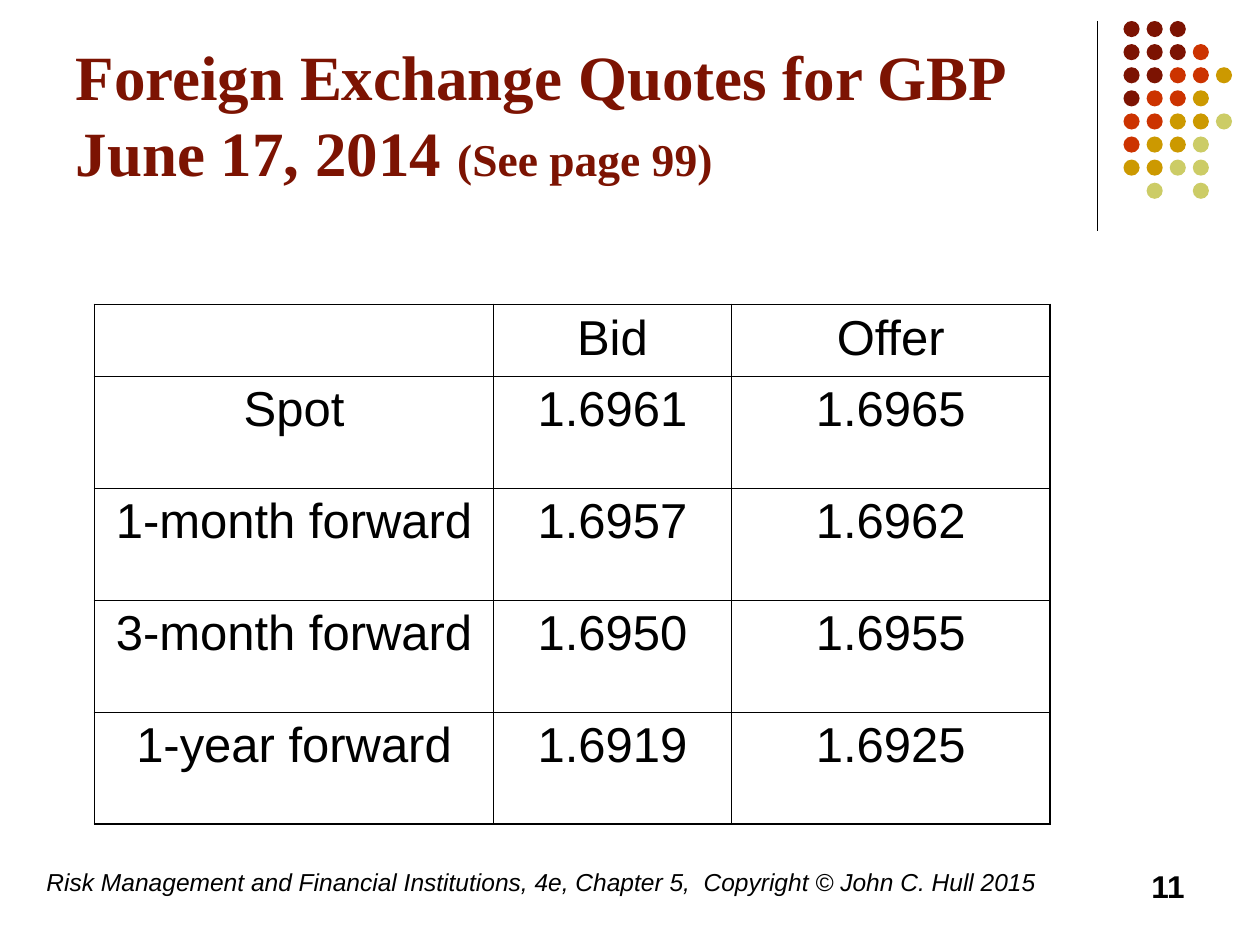
from dataclasses import dataclass

from lxml.etree import SubElement
from pptx import Presentation
from pptx.dml.color import RGBColor
from pptx.enum.shapes import MSO_CONNECTOR as Connector
from pptx.enum.shapes import MSO_SHAPE as Shape
from pptx.enum.text import MSO_ANCHOR as Anchor
from pptx.enum.text import MSO_AUTO_SIZE as AutoSize
from pptx.enum.text import PP_ALIGN as Align
from pptx.oxml import parse_xml
from pptx.oxml.ns import nsdecls, qn
from pptx.util import Pt


@dataclass(frozen=True)
class Theme:
    black: str = "000000"
    maroon: str = "7C1302"
    red: str = "CC3300"
    gold: str = "CC9900"
    olive: str = "CCCC66"
    title_font: str = "Times New Roman"
    body_font: str = "Arial"
    title_size: float = 36
    reference_size: float = 26
    table_size: float = 28
    footer_size: float = 14
    number_size: float = 18
    rule_width: float = 0.75
    inner_border: float = 0.45
    outer_border: float = 1.08


THEME = Theme()
QUOTES = [
    ("", "Bid", "Offer"),
    ("Spot", "1.6961", "1.6965"),
    ("1-month forward", "1.6957", "1.6962"),
    ("3-month forward", "1.6950", "1.6955"),
    ("1-year forward", "1.6919", "1.6925"),
]
COLUMN_WIDTHS = (228, 136, 182)
HEADER_HEIGHT = 41
# One letter for each dot: maroon, red, gold, olive
DOT_ROWS = ("MMM", "MMMR", "MMRRG", "MRRG", "RRGGO", "RGGO", "GGOO", " O O")


def place(shape, box):
    shape.left, shape.top, shape.width, shape.height = map(Pt, box)


def add_run(paragraph, text, size, font=THEME.body_font, color=THEME.black,
            bold=False, italic=False):
    run = paragraph.add_run()
    run.text = text
    run.font.name = font
    run.font.size = Pt(size)
    run.font.bold = bold
    run.font.italic = italic
    run.font.color.rgb = RGBColor.from_string(color)


def add_title(slide, box):
    title = slide.shapes.title
    place(title, box)
    frame = title.text_frame
    frame.word_wrap = True
    frame.auto_size = AutoSize.NONE
    frame.vertical_anchor = Anchor.BOTTOM
    paragraph = frame.paragraphs[0]
    paragraph.alignment = Align.LEFT
    for text, size in (
        ("Foreign Exchange Quotes for GBP June 17, 2014 ", THEME.title_size),
        ("(See page 99)", THEME.reference_size),
    ):
        add_run(paragraph, text, size, THEME.title_font, THEME.maroon, bold=True)


def add_dot_ornament(slide, box):
    """Draw a vertical rule at the left of the box and a dot grid beside it."""
    left, top, width, height = box
    rule = slide.shapes.add_connector(
        Connector.STRAIGHT, Pt(left), Pt(top), Pt(left), Pt(top + height))
    rule.line.color.rgb = RGBColor.from_string(THEME.black)
    rule.line.width = Pt(THEME.rule_width)
    SubElement(rule._element.spPr, qn("a:effectLst"))

    colors = {"M": THEME.maroon, "R": THEME.red, "G": THEME.gold, "O": THEME.olive}
    diameter, pitch = 9.2, 13.2
    grid_left = left + width - 4 * pitch - diameter
    dots = slide.shapes.add_group_shape()
    for row, letters in enumerate(DOT_ROWS):
        for column, letter in enumerate(letters):
            if letter not in colors:
                continue
            dot = dots.shapes.add_shape(
                Shape.OVAL, Pt(grid_left + column * pitch), Pt(top + row * pitch),
                Pt(diameter), Pt(diameter))
            dot.shadow.inherit = False
            dot.fill.solid()
            dot.fill.fore_color.rgb = RGBColor.from_string(colors[letter])
            dot.line.fill.background()


def set_borders(cell, widths):
    """Set border widths in points, in the order left, right, top, bottom."""
    properties = cell._tc.get_or_add_tcPr()
    for index, (side, width) in enumerate(zip("LRTB", widths)):
        properties.insert(index, parse_xml(
            f'<a:ln{side} {nsdecls("a")} w="{Pt(width)}"><a:solidFill>'
            f'<a:srgbClr val="{THEME.black}"/></a:solidFill></a:ln{side}>'))


def add_quote_table(slide, box):
    row_count, column_count = len(QUOTES), len(COLUMN_WIDTHS)
    table = slide.shapes.add_table(row_count, column_count, *map(Pt, box)).table
    table.first_row = table.horz_banding = False
    for column, width in zip(table.columns, COLUMN_WIDTHS):
        column.width = Pt(width)
    body_height = (box[3] - HEADER_HEIGHT) / (row_count - 1)
    for row, texts in enumerate(QUOTES):
        table.rows[row].height = Pt(body_height if row else HEADER_HEIGHT)
        for column, text in enumerate(texts):
            cell = table.cell(row, column)
            cell.fill.background()
            on_edge = (column == 0, column == column_count - 1,
                       row == 0, row == row_count - 1)
            set_borders(cell, [THEME.outer_border if edge else THEME.inner_border
                               for edge in on_edge])
            if text:
                paragraph = cell.text_frame.paragraphs[0]
                paragraph.alignment = Align.CENTER
                paragraph.space_before = Pt(7)
                add_run(paragraph, text, THEME.table_size)


def add_footer_text(slide, box, text, size, alignment, **style):
    frame = slide.shapes.add_textbox(*map(Pt, box)).text_frame
    frame.word_wrap = True
    paragraph = frame.paragraphs[0]
    paragraph.alignment = alignment
    add_run(paragraph, text, size, **style)


def add_footer(slide, box):
    left, top, width, height = box
    add_footer_text(
        slide, (left, top, 595.5, height),
        "Risk Management and Financial Institutions, 4e, Chapter 5,  "
        "Copyright © John C. Hull 2015",
        THEME.footer_size, Align.LEFT, italic=True)
    number_width = 168
    add_footer_text(
        slide, (left + width - number_width, top, number_width, height),
        "11", THEME.number_size, Align.RIGHT, bold=True)


def main():
    presentation = Presentation()
    presentation.slide_width, presentation.slide_height = Pt(720), Pt(540)
    slide = presentation.slides.add_slide(presentation.slide_layouts[5])
    add_dot_ornament(slide, (627, 12, 77, 120))
    add_title(slide, (36, 9.5, 594, 102))
    add_footer(slide, (19.5, 492, 664.5, 36))
    add_quote_table(slide, (54, 174, 546, 297))
    presentation.save("out.pptx")


if __name__ == "__main__":
    main()
